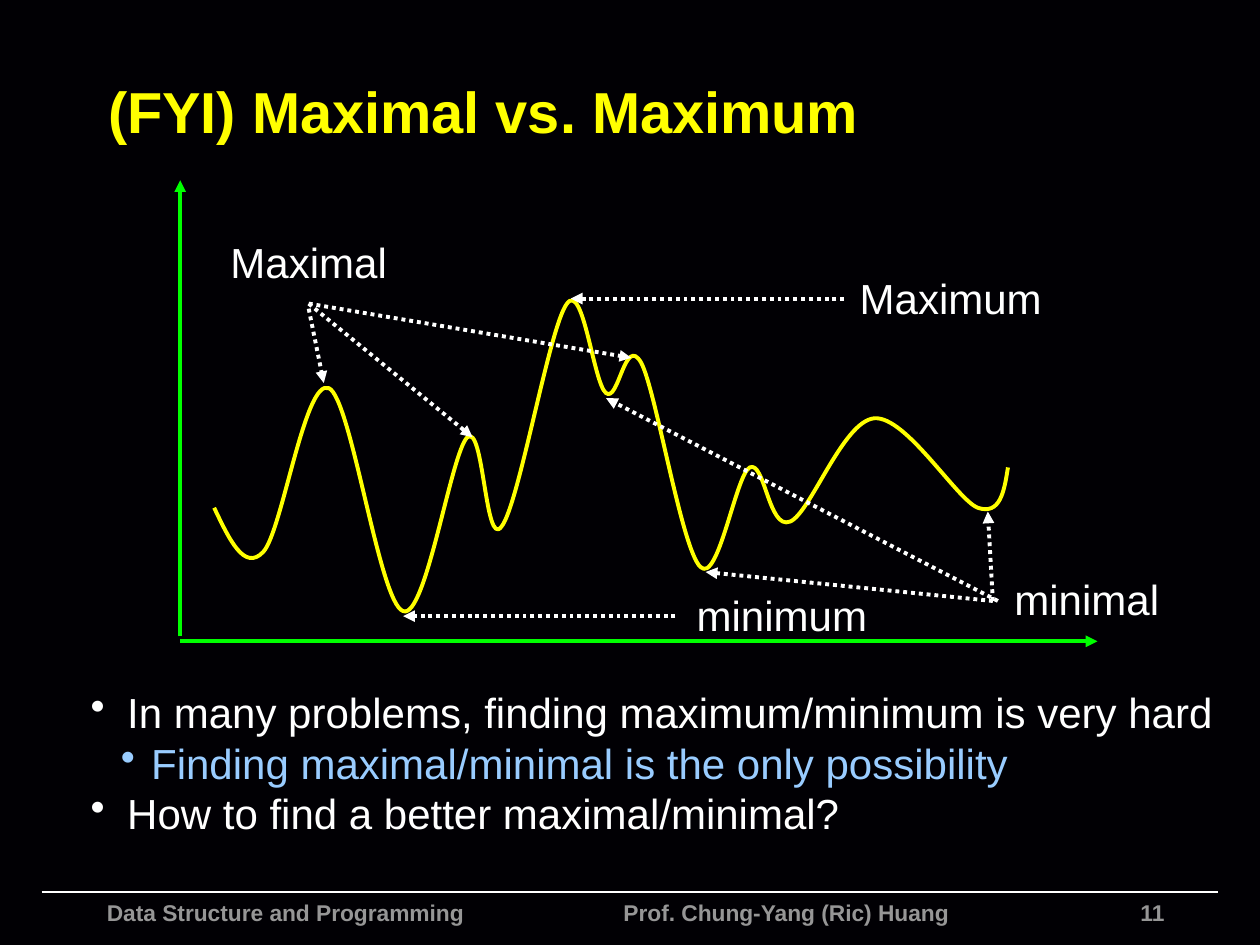
"""Build the slide on maximal versus maximum."""
from lxml.etree import SubElement
from pptx import Presentation
from pptx.dml.color import RGBColor
from pptx.enum.dml import MSO_LINE
from pptx.enum.shapes import MSO_CONNECTOR
from pptx.enum.text import MSO_ANCHOR, PP_ALIGN as ALIGN
from pptx.oxml.ns import qn
from pptx.util import Inches, Pt

BACKGROUND = RGBColor(0x01, 0x00, 0x04)
WHITE = RGBColor(0xFF, 0xFF, 0xFF)
YELLOW = RGBColor(0xFF, 0xFF, 0x00)
GREEN = RGBColor(0x00, 0xFF, 0x00)
GRAY = RGBColor(0x96, 0x96, 0x96)
BLUE = RGBColor(0x99, 0xCC, 0xFF)

TITLE = "(FYI) Maximal vs. Maximum"
FOOTERS = [
    ("Data Structure and Programming", 0.75, 4, ALIGN.LEFT),
    ("Prof. Chung-Yang (Ric) Huang", 4.85, 3.14, ALIGN.LEFT),
    ("11", 8.34, 1, ALIGN.RIGHT),
]
AXES = [((1.43, 5.05), (1.43, 1.43)), ((1.43, 5.09), (8.71, 5.09))]
CURVE_START = (1.7, 4.03)
CURVE_SEGMENTS = [
    ((1.82, 4.28), (1.94, 4.54), (2.09, 4.38)),
    ((2.24, 4.22), (2.42, 3), (2.61, 3.08)),
    ((2.79, 3.16), (3.01, 4.79), (3.2, 4.85)),
    ((3.38, 4.92), (3.58, 3.59), (3.71, 3.47)),
    ((3.84, 3.36), (3.85, 4.36), (3.98, 4.18)),
    ((4.12, 4.01), (4.36, 2.59), (4.5, 2.41)),
    ((4.63, 2.23), (4.71, 3.04), (4.81, 3.12)),
    ((4.91, 3.2), (4.96, 2.65), (5.09, 2.88)),
    ((5.21, 3.11), (5.41, 4.36), (5.56, 4.5)),
    ((5.7, 4.64), (5.84, 3.77), (5.95, 3.71)),
    ((6.07, 3.65), (6.1, 4.21), (6.27, 4.14)),
    ((6.43, 4.08), (6.69, 3.34), (6.94, 3.32)),
    ((7.19, 3.3), (7.59, 3.96), (7.76, 4.03)),
    ((7.94, 4.09), (7.97, 3.9), (8, 3.71)),
]
LABELS = [
    ("Maximum", (6.77, 2.11, 1.55, 0.5), [((6.7, 2.37), (4.53, 2.37))]),
    ("minimum", (5.48, 4.63, 1.45, 0.5), [((5.36, 4.89), (3.2, 4.89))]),
    ("Maximal", (1.78, 1.83, 1.34, 0.5), [
        ((2.45, 2.45), (2.57, 3.04)),
        ((2.45, 2.41), (3.75, 3.47)),
        ((2.45, 2.41), (5.01, 2.84)),
    ]),
    ("minimal", (8, 4.5, 1.25, 0.5), [
        ((7.88, 4.77), (5.6, 4.54)),
        ((7.92, 4.77), (4.81, 3.16)),
        ((7.88, 4.77), (7.84, 4.06)),
    ]),
]
BULLETS = [
    ("In many problems, finding maximum/minimum is very hard", 0, WHITE),
    ("Finding maximal/minimal is the only possibility", 1, BLUE),
    ("How to find a better maximal/minimal?", 0, WHITE),
]
BULLET_INDENTS = [(0.29, -0.29), (0.48, -0.24)]


def add_line(slide, start, end, color, width=2.25, dash=None, arrow=True):
    line = slide.shapes.add_connector(
        MSO_CONNECTOR.STRAIGHT, *map(Inches, start + end))
    line.line.color.rgb = color
    line.line.width = Pt(width)
    if dash:
        line.line.dash_style = dash
    if arrow:
        SubElement(line.line._get_or_add_ln(), qn("a:tailEnd"), type="triangle")
    SubElement(line._element.spPr, qn("a:effectLst"))


def add_box(slide, area, side_margin=0.05, wrap=True):
    frame = slide.shapes.add_textbox(*map(Inches, area)).text_frame
    frame.word_wrap = wrap
    frame.margin_left = frame.margin_right = Inches(side_margin)
    return frame


def write(paragraph, text, size, color, bold=False, align=ALIGN.LEFT):
    paragraph.text = text
    paragraph.alignment = align
    font = paragraph.font
    font.name, font.size, font.bold = "Arial", Pt(size), bold
    font.color.rgb = color


def add_curve(slide):
    builder = slide.shapes.build_freeform(
        *map(Inches, CURVE_START), scale=1.0)
    builder.add_line_segments(
        [tuple(map(Inches, point)) for segment in CURVE_SEGMENTS
         for point in segment], close=False)
    curve = builder.convert_to_shape()
    curve.shadow.inherit = False
    curve.fill.background()
    curve.line.color.rgb = YELLOW
    curve.line.width = Pt(2.25)
    outline = next(curve._element.iter(qn("a:path")))
    steps = outline.findall(qn("a:lnTo"))
    for index in range(0, len(steps), 3):
        bezier = SubElement(outline, qn("a:cubicBezTo"))
        for step in steps[index:index + 3]:
            bezier.append(step[0])
            outline.remove(step)


def add_bullets(slide):
    frame = add_box(slide, (0.67, 5.4, 9.17, 1.31))
    for index, (text, level, color) in enumerate(BULLETS):
        paragraph = frame.add_paragraph() if index else frame.paragraphs[0]
        write(paragraph, text, 24, color)
        paragraph.level = level
        left, indent = BULLET_INDENTS[level]
        properties = paragraph._p.get_or_add_pPr()
        properties.set("marL", str(Inches(left)))
        properties.set("indent", str(Inches(indent)))
        bullet = properties.makeelement(qn("a:buChar"), {"char": "•"})
        properties.find(qn("a:defRPr")).addprevious(bullet)


presentation = Presentation()
presentation.slide_width, presentation.slide_height = Inches(10), Inches(7.5)
slide = presentation.slides.add_slide(presentation.slide_layouts[6])
slide.background.fill.solid()
slide.background.fill.fore_color.rgb = BACKGROUND

add_line(slide, (0.33, 7.08), (9.67, 7.08), WHITE, width=1, arrow=False)
for text, left, width, align in FOOTERS:
    footer = add_box(slide, (left, 7.08, width, 0.42), side_margin=0.1)
    write(footer.paragraphs[0], text, 13, GRAY, bold=True, align=align)

title = add_box(slide, (0.76, 0.37, 8.84, 1.01), side_margin=0.1)
title.vertical_anchor = MSO_ANCHOR.MIDDLE
write(title.paragraphs[0], TITLE, 33, YELLOW, bold=True)

for start, end in AXES:
    add_line(slide, start, end, GREEN)
add_curve(slide)
for text, area, arrows in LABELS:
    for start, end in arrows:
        add_line(slide, start, end, WHITE, dash=MSO_LINE.ROUND_DOT)
    label = add_box(slide, area, side_margin=0, wrap=False)
    write(label.paragraphs[0], text, 24, WHITE, align=ALIGN.CENTER)
add_bullets(slide)

presentation.save("out.pptx")
